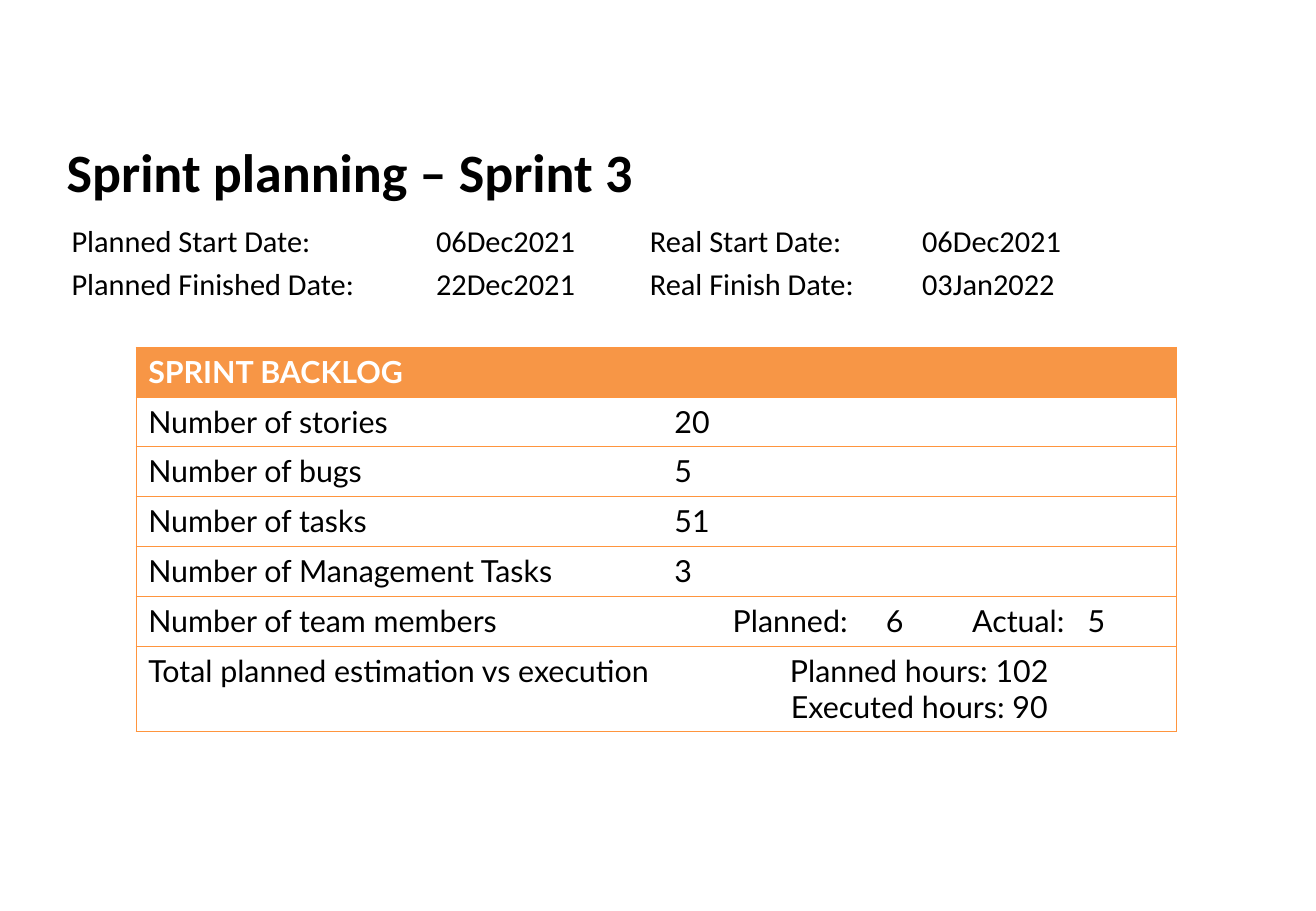
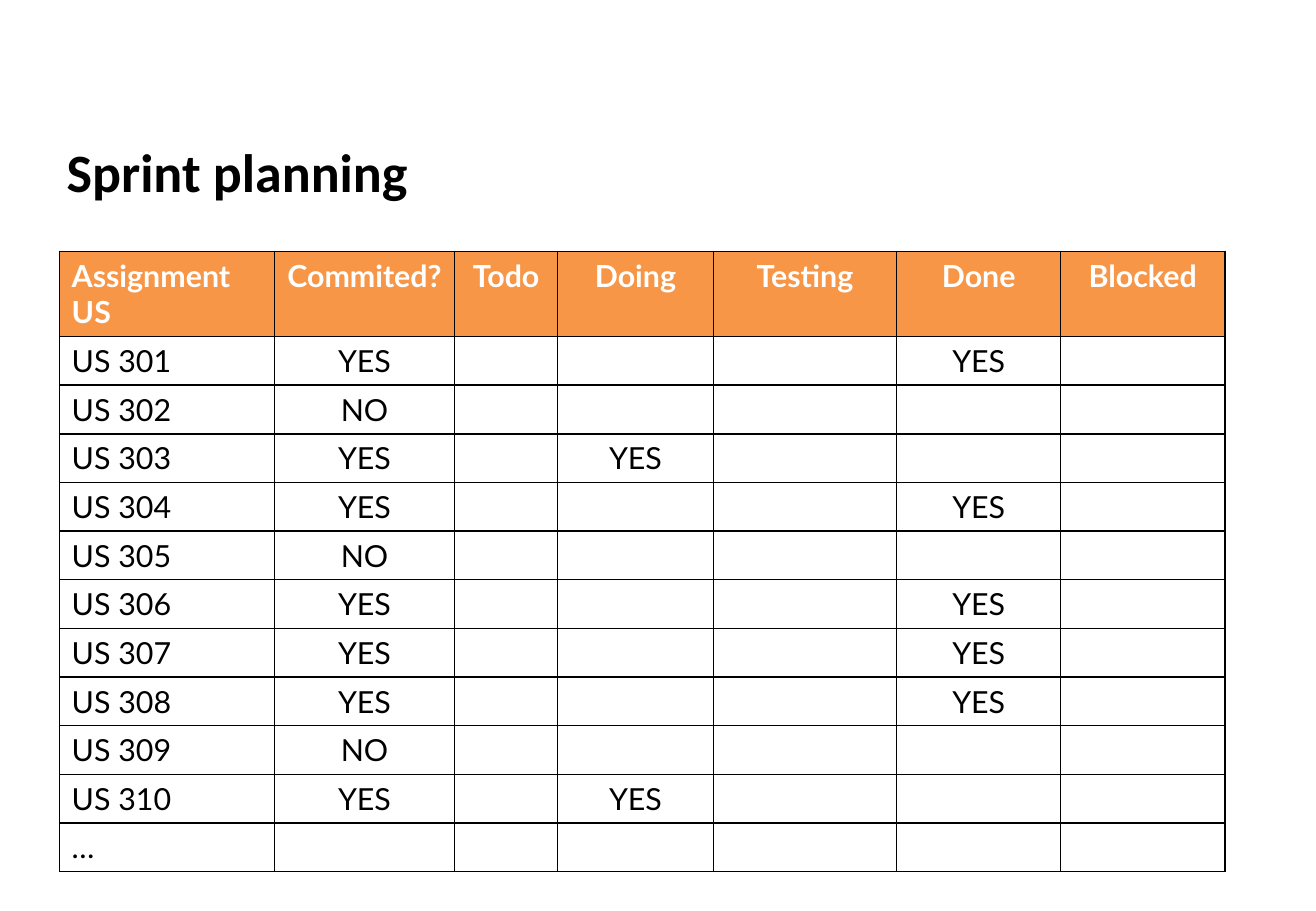
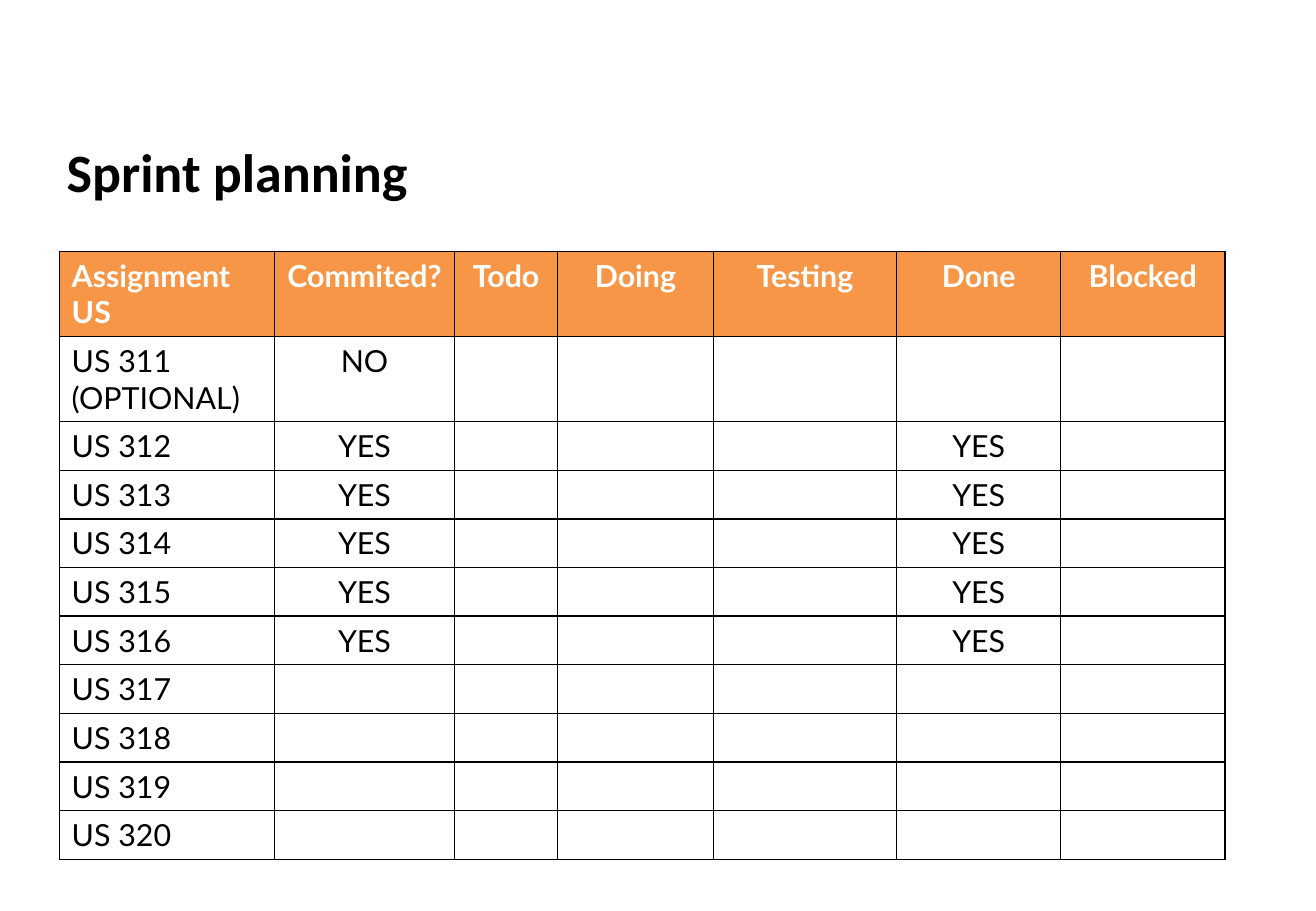
import lxml.etree
import pptx
import pptx.dml.color
import pptx.enum.text
import pptx.oxml.ns
import pptx.util

Inches = pptx.util.Inches
Pt = pptx.util.Pt
RGBColor = pptx.dml.color.RGBColor
qn = pptx.oxml.ns.qn
CENTER = pptx.enum.text.PP_ALIGN.CENTER
MIDDLE = pptx.enum.text.MSO_ANCHOR.MIDDLE

BLACK = RGBColor(0, 0, 0)
WHITE = RGBColor(0xFF, 0xFF, 0xFF)
HEADER_ORANGE = RGBColor(0xF7, 0x96, 0x46)
LINE_ORANGE = RGBColor(0xFF, 0x95, 0x3E)
TITLE_FONT = "Calibri"
TABLE_FONT = "Lato"
PLAIN_TABLE_STYLE = "{2D5ABB26-0587-4C30-8999-92F81FD0307C}"


def add_tab_stops(paragraph, positions):
    properties = paragraph._p.get_or_add_pPr()
    tab_list = lxml.etree.Element(qn("a:tabLst"))
    properties.insert(0, tab_list)
    for position in positions:
        lxml.etree.SubElement(tab_list, qn("a:tab"), pos=str(Inches(position)), algn="l")


def add_grid(slide, left, top, widths, heights, rows, line_color, line_width, inner_columns):
    frame = slide.shapes.add_table(len(rows), len(widths), Inches(left), Inches(top),
                                   Inches(sum(widths)), Inches(sum(heights)))
    table = frame.table
    table.horz_banding = False
    table._tbl.tblPr.find(qn("a:tableStyleId")).text = PLAIN_TABLE_STYLE
    for column, width in zip(table.columns, widths):
        column.width = Inches(width)
    for row_index, (row, height, texts) in enumerate(zip(table.rows, heights, rows)):
        row.height = Inches(height)
        for column_index, (cell, text) in enumerate(zip(row.cells, texts)):
            sides = ["a:lnL", "a:lnR", "a:lnT", "a:lnB"]
            if not inner_columns and column_index > 0:
                sides.remove("a:lnL")
            if not inner_columns and column_index < len(widths) - 1:
                sides.remove("a:lnR")
            for side in sides:
                line = lxml.etree.SubElement(cell._tc.get_or_add_tcPr(), qn(side),
                                             w=str(Pt(line_width)))
                fill = lxml.etree.SubElement(line, qn("a:solidFill"))
                lxml.etree.SubElement(fill, qn("a:srgbClr"), val=str(line_color))
            is_header = row_index == 0
            cell.fill.solid()
            cell.fill.fore_color.rgb = HEADER_ORANGE if is_header else WHITE
            cell.text = text
            for paragraph in cell.text_frame.paragraphs:
                paragraph.font.name = TABLE_FONT
                paragraph.font.size = Pt(18)
                paragraph.font.bold = is_header
                paragraph.font.color.rgb = WHITE if is_header else BLACK
                if inner_columns and column_index > 0:
                    paragraph.alignment = CENTER
    return table


presentation = pptx.Presentation()
presentation.slide_width = Inches(10.83)
presentation.slide_height = Inches(7.5)

slides = []
for title in ["Sprint planning – Sprint 3", "Sprint planning", "Sprint planning"]:
    slide = presentation.slides.add_slide(presentation.slide_layouts[6])
    title_box = slide.shapes.add_textbox(Inches(0.45), Inches(1.09), Inches(9.89), Inches(0.63))
    title_box.text_frame.word_wrap = True
    title_box.text_frame.vertical_anchor = MIDDLE
    paragraph = title_box.text_frame.paragraphs[0]
    paragraph.text = title
    paragraph.font.name = TITLE_FONT
    paragraph.font.size = Pt(32)
    paragraph.font.bold = True
    paragraph.font.color.rgb = BLACK
    slides.append(slide)
backlog_slide, *tracking_slides = slides

dates_box = backlog_slide.shapes.add_textbox(Inches(0.49), Inches(1.78), Inches(9.89), Inches(0.78))
dates_box.text_frame.word_wrap = True
dates_box.text_frame.text = (
    "Planned Start Date:\t06Dec2021\tReal Start Date:\t06Dec2021\n"
    "Planned Finished Date:\t22Dec2021\tReal Finish Date:\t03Jan2022"
)
for paragraph in dates_box.text_frame.paragraphs:
    add_tab_stops(paragraph, [3, 4.76, 7])
    paragraph.space_after = Pt(4)
    paragraph.font.name = TITLE_FONT
    paragraph.font.size = Pt(18)
    paragraph.font.color.rgb = BLACK

backlog_rows = [
    ("SPRINT BACKLOG", ""),
    ("Number of stories", "20"),
    ("Number of bugs", "5"),
    ("Number of tasks", "51"),
    ("Number of Management Tasks", "3"),
    ("Number of team members", "Planned:\t6\tActual:\t5"),
    ("Total planned estimation vs execution", "Planned hours: 102\nExecuted hours: 90"),
]
backlog = add_grid(backlog_slide, 1.12, 2.86, [4.33, 4.23], [0.41] * 6 + [0.7],
                   backlog_rows, LINE_ORANGE, 0.75, False)
members_cell = backlog.cell(5, 1)
members_cell.margin_left = Inches(0.58)
add_tab_stops(members_cell.text_frame.paragraphs[0], [1.26, 1.97, 2.92])
for paragraph in backlog.cell(6, 1).text_frame.paragraphs:
    paragraph.alignment = CENTER

headings = ["Assignment US", "Commited?", "Todo", "Doing", "Testing", "Done", "Blocked"]
tracking_widths = [1.77, 1.48, 0.85, 1.28, 1.51, 1.35, 1.35]
first_stories = [
    ("US 301", "YES", "Done"),
    ("US 302", "NO", ""),
    ("US 303", "YES", "Doing"),
    ("US 304", "YES", "Done"),
    ("US 305", "NO", ""),
    ("US 306", "YES", "Done"),
    ("US 307", "YES", "Done"),
    ("US 308", "YES", "Done"),
    ("US 309", "NO", ""),
    ("US 310", "YES", "Doing"),
    ("…", "", ""),
]
second_stories = [("US 311 (OPTIONAL)", "NO", "")]
second_stories += [(f"US {number}", "YES", "Done") for number in range(312, 317)]
second_stories += [(f"US {number}", "", "") for number in range(317, 321)]

for slide, stories in zip(tracking_slides, [first_stories, second_stories]):
    rows = [headings]
    for story, committed, state in stories:
        rows.append([story, committed] + ["YES" if heading == state else "" for heading in headings[2:]])
    heights = [0.7 if len(row[0]) > 12 else 0.4 for row in rows]
    add_grid(slide, 0.49, 2.07, tracking_widths, heights, rows, BLACK, 1, True)

presentation.save("out.pptx")
